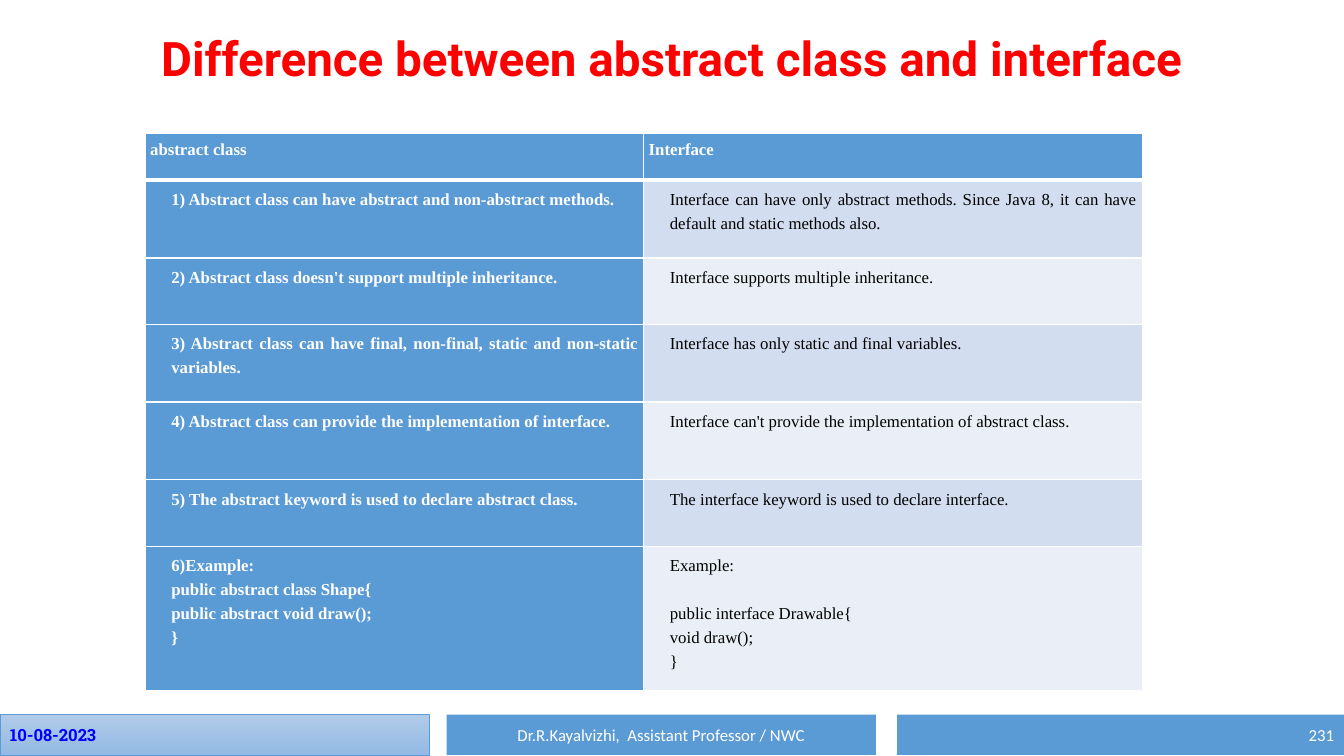
import pptx
import pptx.dml.color
import pptx.enum.shapes
import pptx.enum.text
import pptx.oxml
import pptx.oxml.ns
import pptx.util

Pt = pptx.util.Pt
RGBColor = pptx.dml.color.RGBColor
ALIGN = pptx.enum.text.PP_ALIGN
MIDDLE = pptx.enum.text.MSO_ANCHOR.MIDDLE

RED = RGBColor(0xFF, 0x00, 0x00)
BLUE = RGBColor(0x5B, 0x9B, 0xD5)
DATE_BLUE = RGBColor(0x00, 0x00, 0xFF)
DATE_TOP = RGBColor(0xB1, 0xCB, 0xE9)
DATE_BOTTOM = RGBColor(0x93, 0xB9, 0xE4)
BAND_DARK = RGBColor(0xD2, 0xDE, 0xEF)
BAND_LIGHT = RGBColor(0xEA, 0xEF, 0xF7)
WHITE = RGBColor(0xFF, 0xFF, 0xFF)
BLACK = RGBColor(0x00, 0x00, 0x00)

LINE_PITCH = 17.2
ROW_HEIGHTS = [33.84, 55.44, 47.52, 55.44, 55.44, 47.52, 102.96]
HEADINGS = ("abstract class", "Interface")
DIFFERENCES = [
    ("1) Abstract class can have abstract and non-abstract methods.",
     "Interface can have only abstract methods. Since Java 8, it can have default and static methods also."),
    ("2) Abstract class doesn't support multiple inheritance.",
     "Interface supports multiple inheritance."),
    ("3) Abstract class can have final, non-final, static and non-static variables.",
     "Interface has only static and final variables."),
    ("4) Abstract class can provide the implementation of interface.",
     "Interface can't provide the implementation of abstract class."),
    ("5) The abstract keyword is used to declare abstract class.",
     "The interface keyword is used to declare interface."),
]
ABSTRACT_EXAMPLE = ["6)Example:", "public abstract class Shape{", "public abstract void draw();", "}"]
INTERFACE_EXAMPLE = ["public interface Drawable{", "void draw();", "}"]


def add_lines(paragraph, lines, font_name, size, color, bold=False):
    """Add one run per line, parted by line breaks."""
    for number, line in enumerate(lines):
        if number:
            paragraph.add_line_break()
        run = paragraph.add_run()
        run.text = line
        run.font.name = font_name
        run.font.size = Pt(size)
        run.font.bold = bold
        run.font.color.rgb = color


def add_title(slide, left, top, width, height):
    """Place the heading in the upper part of its box."""
    frame = slide.shapes.add_textbox(Pt(left), Pt(top), Pt(width), Pt(height)).text_frame
    frame.word_wrap = True
    frame.vertical_anchor = MIDDLE
    frame.margin_bottom = Pt(45)
    heading = frame.paragraphs[0]
    heading.alignment = ALIGN.CENTER
    heading.line_spacing = 0.9
    add_lines(heading, ["Difference between abstract class and interface"], "Roboto", 34, RED, True)


def set_borders(cell, top, bottom):
    """Give a cell white borders with the given top and bottom widths."""
    properties = cell._tc.get_or_add_tcPr()
    for side, width in (("L", 1), ("R", 1), ("T", top), ("B", bottom)):
        properties.append(pptx.oxml.parse_xml(
            f'<a:ln{side} {pptx.oxml.ns.nsdecls("a")} w="{int(Pt(width))}">'
            f'<a:solidFill><a:srgbClr val="{WHITE}"/></a:solidFill></a:ln{side}>'))


def indent(paragraph, left, first=0):
    """Set the left margin and first-line indent of a paragraph."""
    properties = paragraph._p.get_or_add_pPr()
    properties.set("marL", str(int(Pt(left))))
    properties.set("indent", str(int(Pt(first))))


def fill_cell(cell, row, column, blocks):
    """Style one table cell and write its blocks as paragraphs."""
    set_borders(cell, 3 if row == 1 else 1, 3 if row == 0 else 1)
    strong = row == 0 or column == 0
    cell.fill.solid()
    cell.fill.fore_color.rgb = BLUE if strong else BAND_DARK if row % 2 else BAND_LIGHT
    cell.margin_left = cell.margin_right = cell.margin_top = cell.margin_bottom = Pt(3.6)
    for number, lines in enumerate(blocks):
        paragraph = cell.text_frame.add_paragraph() if number else cell.text_frame.paragraphs[0]
        if row == 0:
            paragraph.line_spacing = 1.15
            if column == 0:
                indent(paragraph, 13.7, -13.7)
        else:
            paragraph.line_spacing = Pt(LINE_PITCH)
            paragraph.alignment = ALIGN.JUSTIFY if len(lines) == 1 else ALIGN.LEFT
            indent(paragraph, 15.1)
        if number:
            paragraph.space_before = Pt(LINE_PITCH)
        add_lines(paragraph, lines, "Times New Roman", 12, WHITE if strong else BLACK, strong)


def add_comparison(slide, left, top, width):
    """Build the two-column comparison table."""
    rows = [[[[text]] for text in pair] for pair in [HEADINGS] + DIFFERENCES]
    rows.append([[ABSTRACT_EXAMPLE], [["Example:"], INTERFACE_EXAMPLE]])
    table = slide.shapes.add_table(
        len(rows), 2, Pt(left), Pt(top), Pt(width), Pt(sum(ROW_HEIGHTS))).table
    for column in table.columns:
        column.width = Pt(width / 2)
    for row, (height, entries) in enumerate(zip(ROW_HEIGHTS, rows)):
        table.rows[row].height = Pt(height)
        for column, blocks in enumerate(entries):
            fill_cell(table.cell(row, column), row, column, blocks)


def add_footer_bar(slide, left, top, width, height, text, alignment,
                   font_name="Calibri", color=WHITE, bold=False):
    """Place one plain blue footer bar with its text and return it."""
    bar = slide.shapes.add_shape(
        pptx.enum.shapes.MSO_SHAPE.RECTANGLE, Pt(left), Pt(top), Pt(width), Pt(height))
    bar.shadow.inherit = False
    bar.fill.solid()
    bar.fill.fore_color.rgb = BLUE
    bar.line.fill.background()
    bar.text_frame.word_wrap = True
    bar.text_frame.vertical_anchor = MIDDLE
    label = bar.text_frame.paragraphs[0]
    label.alignment = alignment
    add_lines(label, [text], font_name, 12, color, bold)
    return bar


def add_footer(slide, top, height):
    """Place the date, page number and author bars."""
    date = add_footer_bar(slide, 0, top, 306.7, height, "10-08-2023", ALIGN.LEFT,
                          "Roboto Slab", DATE_BLUE, True)
    date.fill.gradient()
    date.fill.gradient_angle = 270
    for stop, position, color in zip(date.fill.gradient_stops, (0, 1), (DATE_TOP, DATE_BOTTOM)):
        stop.position = position
        stop.color.rgb = color
    date.line.color.rgb = BLUE
    date.line.width = Pt(0.5)
    add_footer_bar(slide, 640.8, top, 319.2, height, "231", ALIGN.RIGHT)
    add_footer_bar(slide, 319, top, 306.7, height,
                   "Dr.R.Kayalvizhi,  Assistant Professor / NWC", ALIGN.CENTER)


def main():
    """Build and save the slide."""
    deck = pptx.Presentation()
    deck.slide_width, deck.slide_height = Pt(960), Pt(540)
    slide = deck.slides.add_slide(deck.slide_layouts[6])
    add_title(slide, 66, 12.2, 828, 104.4)
    add_comparison(slide, 103.7, 95, 712.2)
    add_footer(slide, 510.5, 28.8)
    deck.save("out.pptx")


if __name__ == "__main__":
    main()
